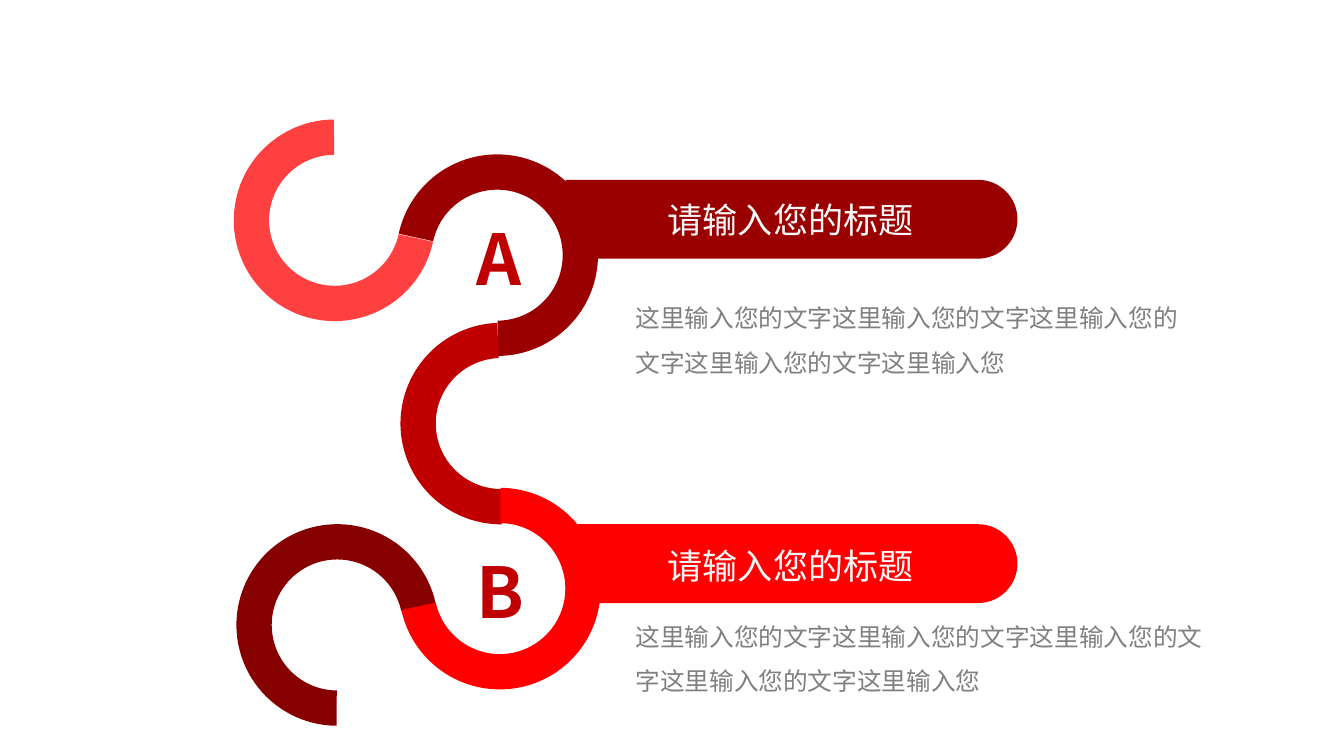
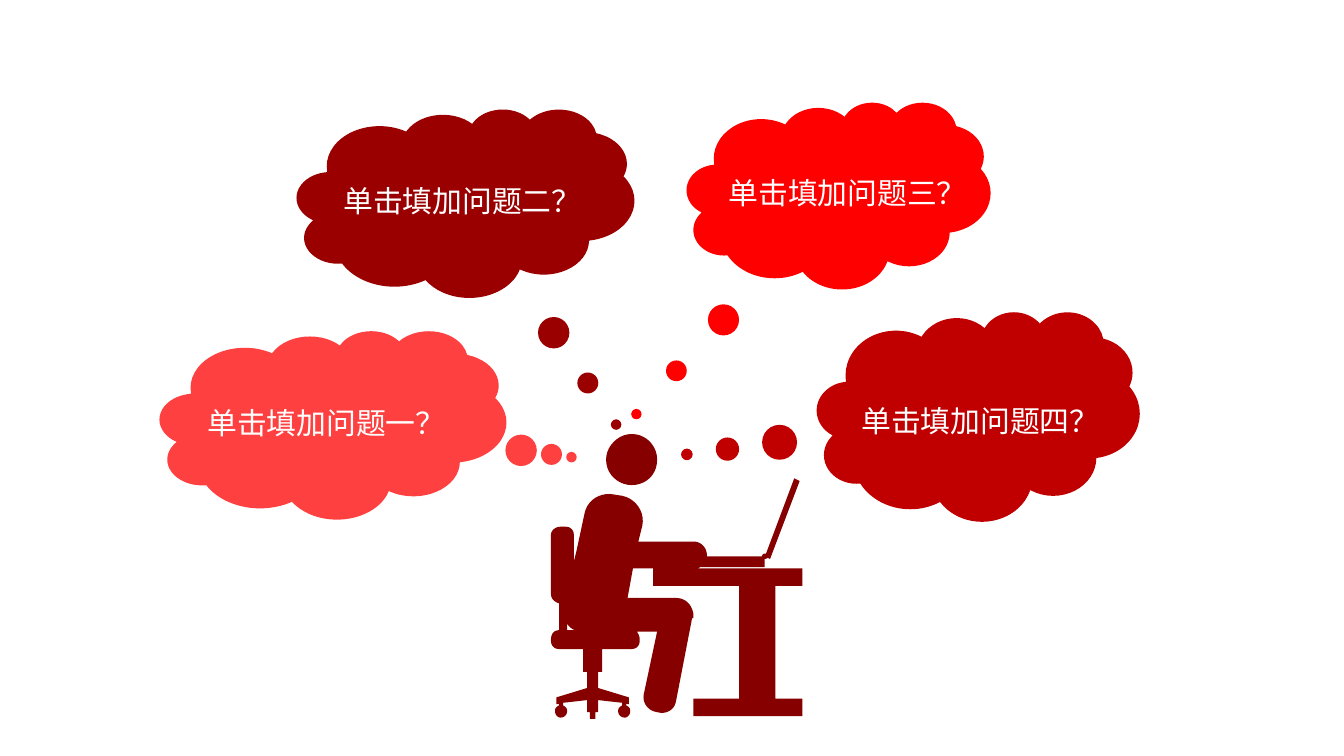
"""Build two red slides: a winding ribbon with two topics, and a thinker with four questions."""
from dataclasses import dataclass
from math import cos, pi, sin

from lxml.etree import SubElement
from pptx import Presentation
from pptx.dml.color import RGBColor
from pptx.enum.shapes import MSO_SHAPE
from pptx.enum.text import MSO_ANCHOR, MSO_AUTO_SIZE, PP_ALIGN
from pptx.oxml.ns import qn
from pptx.util import Cm, Pt


@dataclass(frozen=True)
class Theme:
    font: str = "Noto Sans CJK SC"
    red: str = "FF0000"
    coral: str = "FF4040"
    crimson: str = "C00000"
    dark: str = "9A0000"
    maroon: str = "860000"
    pale: str = "F8F8F8"
    white: str = "FFFFFF"
    gray: str = "808080"
    letter_size: float = 37.6
    heading_size: float = 18.8
    question_size: float = 16
    detail_size: float = 13.2


THEME = Theme()
HEADING = "请输入您的标题"
DETAIL = "这里输入您的文字" * 4 + "这里输入您"

# letter, banner colour, then tops of banner, heading, letter and detail, detail width
TOPICS = [
    ("A", THEME.dark, 3.4, 3.63, 3.94, 5.33, 11.1),
    ("B", THEME.red, 9.91, 10.16, 10.24, 11.35, 11.28),
]
BANNER_LEFT, BANNER_RIGHT, BANNER_HEIGHT = 10.69, 19.23, 1.49

# left, top, rotation, flipped, start angle, colour
RING_SIZE, RING_END, RING_THICKNESS = 3.81, 208.607, 0.175
RINGS = [
    (4.42, 2.26, 0, True, 54.237, THEME.coral),
    (7.49, 2.92, 180, True, 54.237, THEME.dark),
    (7.57, 6.1, 77.2, True, 101.688, THEME.crimson),
    (4.47, 9.91, 0, False, 54.237, THEME.maroon),
    (7.54, 9.22, 180, False, 54.237, THEME.red),
]

# text, box, pointer, colour, wrapped
QUESTIONS = [
    ("单击填加问题三？", (12.98, 1.93, 5.74, 3.53), (-0.666, 1.171), THEME.red, False),
    ("单击填加问题一？", (3.02, 6.25, 6.55, 3.56), (0.688, 0.172), THEME.coral, False),
    ("单击填加问题四？", (15.44, 5.89, 6.1, 3.96), (-0.903, 0.182), THEME.crimson, False),
    ("单击填加问题二？", (5.61, 2.06, 6.38, 3.56), (0.446, 1.176), THEME.dark, True),
]

# Pairs are corners; sixes are curves with two control points and an end
FIGURE_UNIT = 0.0254
CHAIR_AXIS = 441
HEAD = [
    (489, 342), (489, 332, 481, 323, 470, 323), (460, 323, 451, 332, 451, 342),
    (451, 353, 460, 361, 470, 361), (481, 361, 489, 353, 489, 342),
]
SEAT_EDGE = [(410, 476), (410, 477), (410, 480, 412, 483, 416, 483)]
CHAIR_LEG = [
    (434, 483), (434, 500), (437, 500), (437, 512), (414, 519), (414, 524),
    (416, 524), (416, 525), (414, 526, 413, 527, 413, 529),
    (413, 532, 415, 534, 417, 534), (420, 534, 422, 532, 422, 529),
    (422, 527, 421, 526, 419, 525), (419, 523), (437, 521), (437, 530),
    (439, 530), (439, 535),
]
BODY = [
    (470, 483), (474, 483, 476, 480, 476, 477), (476, 476),
    (476, 473, 475, 472, 474, 470), (489, 470), (479, 517),
    (478, 523, 482, 529, 489, 530), (496, 532, 502, 528, 503, 522),
    (515, 460), (516, 460), (516, 459, 516, 458, 516, 457),
    (515, 450, 510, 445, 503, 445), (467, 445), (471, 423), (516, 423),
    (518, 423, 520, 423, 521, 422), (569, 422), (569, 416),
    (570, 416, 572, 415, 571, 415), (573, 416), (595, 358), (591, 356),
    (570, 412), (569, 412), (568, 412, 567, 413, 567, 414), (526, 414),
    (526, 413), (526, 408, 522, 403, 516, 403), (475, 403), (478, 391),
    (480, 381, 473, 371, 463, 369), (457, 368),
    (447, 366, 437, 372, 435, 382), (429, 410), (427, 418), (427, 398),
    (427, 395, 425, 392, 421, 392), (417, 392),
    (413, 392, 410, 395, 410, 398), (410, 442),
    (410, 446, 413, 448, 416, 449), (416, 469),
    (412, 469, 410, 472, 410, 476),
]
CHAIR_GAP = [(422, 464), (423, 466, 425, 468, 428, 469), (422, 469)]
DESK = [
    (550, 520), (516, 520), (516, 533), (597, 533), (597, 520), (577, 520),
    (577, 436), (597, 436), (597, 423), (486, 423), (486, 436), (550, 436),
]


def paint(shape, colour):
    shape.shadow.inherit = False
    shape.fill.solid()
    shape.fill.fore_color.rgb = RGBColor.from_string(colour)
    shape.line.fill.background()


def write(frame, text, size, colour, bold=False, spacing=None):
    paragraph = frame.paragraphs[0]
    paragraph.text = text
    paragraph.alignment = PP_ALIGN.LEFT
    if spacing:
        paragraph.line_spacing = spacing
    font = paragraph.font
    font.name, font.size, font.bold = THEME.font, Pt(size), bold
    font.color.rgb = RGBColor.from_string(colour)
    defaults = paragraph._p.pPr.find(qn("a:defRPr"))
    SubElement(defaults, qn("a:ea")).set("typeface", THEME.font)


def add_label(slide, box, text, size, colour, wrap=False, **style):
    frame = slide.shapes.add_textbox(*map(Cm, box)).text_frame
    frame.word_wrap = wrap
    frame.auto_size = MSO_AUTO_SIZE.SHAPE_TO_FIT_TEXT
    write(frame, text, size, colour, **style)


def add_outline(slide, contours, colour, unit=1):
    scaled = [[(Cm(x * unit), Cm(y * unit)) for x, y in contour] for contour in contours]
    builder = slide.shapes.build_freeform(*scaled[0][0])
    for contour in scaled:
        builder.move_to(*contour[0])
        builder.add_line_segments(contour[1:], close=True)
    paint(builder.convert_to_shape(), colour)


def flatten(steps, pieces=10):
    points = []
    for step in steps:
        if len(step) == 2:
            points.append(step)
            continue
        knots = [points[-1], step[:2], step[2:4], step[4:]]
        for piece in range(1, pieces + 1):
            t = piece / pieces
            weights = ((1 - t) ** 3, 3 * t * (1 - t) ** 2, 3 * t * t * (1 - t), t ** 3)
            points.append(tuple(
                sum(weight * knot[axis] for weight, knot in zip(weights, knots))
                for axis in (0, 1)
            ))
    return points


def add_banner(slide, top, colour):
    radius = BANNER_HEIGHT / 2
    angles = [-pi / 2 + pi * step / 32 for step in range(33)]
    cap = [(BANNER_RIGHT - radius + radius * cos(a), top + radius + radius * sin(a))
           for a in angles]
    add_outline(slide, [[(BANNER_LEFT, top), *cap, (BANNER_LEFT, top + BANNER_HEIGHT)]], colour)


def add_ring(slide, left, top, rotation, flipped, start, colour):
    ring = slide.shapes.add_shape(
        MSO_SHAPE.BLOCK_ARC, Cm(left), Cm(top), Cm(RING_SIZE), Cm(RING_SIZE))
    for index, value in enumerate((start, RING_END, RING_THICKNESS)):
        ring.adjustments[index] = value
    ring.rotation = rotation
    if flipped:
        ring.element.spPr.xfrm.set("flipV", "1")
    paint(ring, colour)


def add_question(slide, text, box, pointer, colour, wrapped):
    cloud = slide.shapes.add_shape(MSO_SHAPE.CLOUD_CALLOUT, *map(Cm, box))
    cloud.adjustments[0], cloud.adjustments[1] = pointer
    paint(cloud, colour)
    frame = cloud.text_frame
    frame.word_wrap = wrapped
    frame.vertical_anchor = MSO_ANCHOR.BOTTOM
    frame.margin_left, frame.margin_top = Cm(0), Cm(0.08)
    frame.margin_right, frame.margin_bottom = Cm(0.08), Cm(0.78)
    write(frame, text, THEME.question_size, THEME.white)


def build_topics(slide):
    for _, colour, banner_top, *_ in TOPICS:
        add_banner(slide, banner_top, colour)
    for ring in RINGS:
        add_ring(slide, *ring)
    for letter, _, _, heading_top, letter_top, detail_top, detail_width in TOPICS:
        add_label(slide, (12.37, heading_top, 5.18, 1.07), HEADING,
                  THEME.heading_size, THEME.pale)
        add_label(slide, (8.76, letter_top, 1.4, 1.85), letter,
                  THEME.letter_size, THEME.crimson, bold=True)
        add_label(slide, (11.76, detail_top, detail_width, 1.96), DETAIL,
                  THEME.detail_size, THEME.gray, wrap=True, spacing=1.5)


def build_questions(slide):
    for question in QUESTIONS:
        add_question(slide, *question)
    leg = flatten(CHAIR_LEG)
    mirrored_leg = [(2 * CHAIR_AXIS - x, y) for x, y in reversed(leg)]
    sitter = flatten(SEAT_EDGE) + leg + mirrored_leg + flatten(BODY)
    add_outline(slide, [flatten(HEAD), sitter, flatten(CHAIR_GAP), DESK],
                THEME.maroon, FIGURE_UNIT)


def main():
    deck = Presentation()
    deck.slide_width, deck.slide_height = Cm(25.4), Cm(14.29)
    for build in (build_topics, build_questions):
        build(deck.slides.add_slide(deck.slide_layouts[6]))
    deck.save("out.pptx")


if __name__ == "__main__":
    main()
